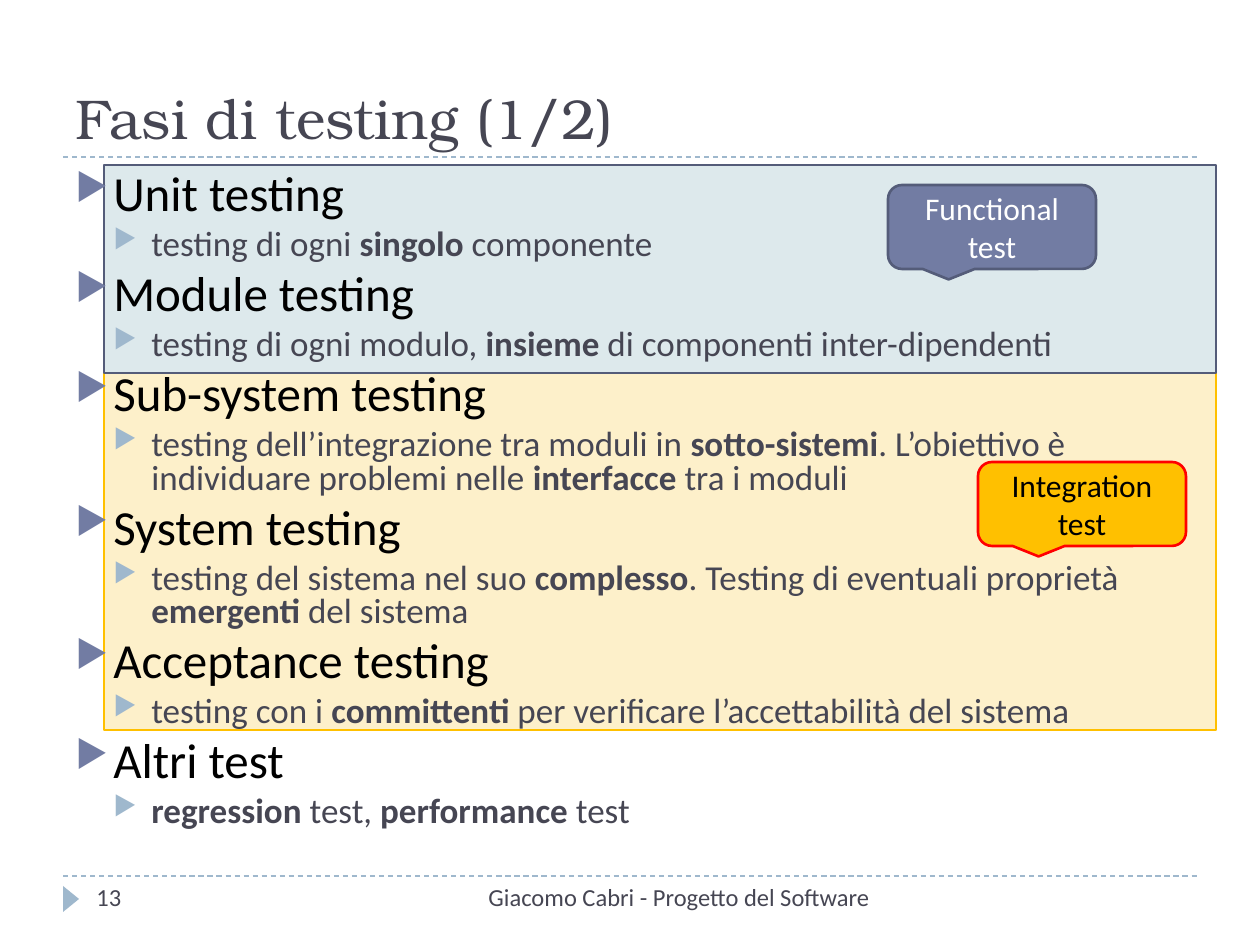
from dataclasses import dataclass

from lxml import etree
from pptx import Presentation
from pptx.dml.color import RGBColor
from pptx.enum.dml import MSO_LINE
from pptx.enum.shapes import MSO_CONNECTOR, MSO_SHAPE
from pptx.enum.text import MSO_ANCHOR, PP_ALIGN
from pptx.oxml.ns import qn
from pptx.util import Emu, Pt

STRAIGHT = MSO_CONNECTOR.STRAIGHT
DASH = MSO_LINE.DASH
RECTANGLE = MSO_SHAPE.RECTANGLE
TRIANGLE = MSO_SHAPE.ISOSCELES_TRIANGLE
CALLOUT = MSO_SHAPE.ROUNDED_RECTANGULAR_CALLOUT
TOP, MIDDLE, BOTTOM = MSO_ANCHOR.TOP, MSO_ANCHOR.MIDDLE, MSO_ANCHOR.BOTTOM
LEFT, CENTER, RIGHT = PP_ALIGN.LEFT, PP_ALIGN.CENTER, PP_ALIGN.RIGHT

PX_PER_INCH = 126
INDENT = 38

# Asterisks enclose the bold words of each description.
PHASES = [
    ("Unit testing", "testing di ogni *singolo* componente"),
    ("Module testing", "testing di ogni modulo, *insieme* di componenti inter-dipendenti"),
    ("Sub-system testing", "testing dell’integrazione tra moduli in *sotto-sistemi*. L’obiettivo è "
     "individuare problemi nelle *interfacce* tra i moduli"),
    ("System testing", "testing del sistema nel suo *complesso*. Testing di eventuali proprietà "
     "*emergenti* del sistema"),
    ("Acceptance testing", "testing con i *committenti* per verificare l’accettabilità del sistema"),
    ("Altri test", "*regression* test, *performance* test"),
]


@dataclass(frozen=True)
class Theme:
    title_font: str = "TeX Gyre Bonum"
    body_font: str = "Calibri"
    title_size: int = 32
    phase_size: int = 28
    detail_size: int = 20
    callout_size: int = 18
    footer_size: int = 14
    rule_width: float = 0.75
    outline_width: float = 1.5
    text: str = "464653"
    black: str = "000000"
    white: str = "FFFFFF"
    purple: str = "727CA3"
    dark_purple: str = "545C79"
    blue: str = "9FB8CD"
    pale_blue: str = "DDE9EC"
    amber: str = "FFC000"
    pale_amber: str = "FDF0CA"
    red: str = "FF0000"


def px(length):
    return Emu(round(length * 914400 / PX_PER_INCH))


def rgb(color):
    return RGBColor.from_string(color)


class SlideBuilder:
    def __init__(self, slide, theme):
        self.slide = slide
        self.theme = theme

    def format_runs(self, paragraph, size, color, font=None):
        for run in paragraph.runs:
            run.font.name = font or self.theme.body_font
            run.font.size = Pt(size)
            run.font.color.rgb = rgb(color)

    def rule(self, left, right, y):
        line = self.slide.shapes.add_connector(STRAIGHT, px(left), px(y), px(right), px(y))
        line.line.color.rgb = rgb(self.theme.blue)
        line.line.width = Pt(self.theme.rule_width)
        line.line.dash_style = DASH
        etree.SubElement(line._element.spPr, qn("a:effectLst"))

    def shape(self, kind, box, fill, outline=None):
        shape = self.slide.shapes.add_shape(kind, *map(px, box))
        shape.shadow.inherit = False
        shape.fill.solid()
        shape.fill.fore_color.rgb = rgb(fill)
        if outline:
            shape.line.color.rgb = rgb(outline)
            shape.line.width = Pt(self.theme.outline_width)
        else:
            shape.line.fill.background()
        return shape

    def callout(self, text, box, fill, outline, color):
        text_frame = self.shape(CALLOUT, box, fill, outline).text_frame
        text_frame.text = text
        text_frame.word_wrap = True
        text_frame.vertical_anchor = MIDDLE
        paragraph = text_frame.paragraphs[0]
        paragraph.alignment = CENTER
        self.format_runs(paragraph, self.theme.callout_size, color)

    def text_box(self, box, anchor=TOP):
        text_frame = self.slide.shapes.add_textbox(*map(px, box)).text_frame
        text_frame.word_wrap = True
        text_frame.vertical_anchor = anchor
        return text_frame

    def label(self, text, box, size, font=None, anchor=TOP, alignment=LEFT):
        text_frame = self.text_box(box, anchor)
        text_frame.text = text
        paragraph = text_frame.paragraphs[0]
        paragraph.alignment = alignment
        self.format_runs(paragraph, size, self.theme.text, font)

    def bullet(self, paragraph, level, color, space_before):
        paragraph.level = level
        paragraph.line_spacing = 0.8
        paragraph.space_before = Pt(space_before)
        properties = paragraph._p.get_or_add_pPr()
        properties.set("marL", str(px(INDENT * (level + 1))))
        properties.set("indent", str(px(-INDENT)))
        bullet_color = etree.SubElement(properties, qn("a:buClr"))
        etree.SubElement(bullet_color, qn("a:srgbClr"), val=color)
        etree.SubElement(properties, qn("a:buSzPct"), val="76000")
        etree.SubElement(properties, qn("a:buChar"), char="▶")

    def phase_list(self, phases, box):
        theme = self.theme
        text_frame = self.text_box(box)
        for index, (phase, detail) in enumerate(phases):
            heading = text_frame.add_paragraph() if index else text_frame.paragraphs[0]
            heading.text = phase
            self.format_runs(heading, theme.phase_size, theme.black)
            self.bullet(heading, 0, theme.purple, 6)

            description = text_frame.add_paragraph()
            for part, text in enumerate(detail.split("*")):
                if text:
                    run = description.add_run()
                    run.text = text
                    run.font.bold = part % 2 == 1
            self.format_runs(description, theme.detail_size, theme.text)
            self.bullet(description, 1, theme.blue, 5)


def main():
    presentation = Presentation()
    presentation.slide_width = px(1260)
    presentation.slide_height = px(945)
    theme = Theme()
    slide = presentation.slides.add_slide(presentation.slide_layouts[6])
    builder = SlideBuilder(slide, theme)

    for y in (876, 157):
        builder.rule(63, 1197, y)
    builder.shape(TRIANGLE, (58, 891, 26, 16), theme.blue).rotation = 90

    builder.shape(RECTANGLE, (104, 370, 1112, 360), theme.pale_amber, theme.amber)
    builder.shape(RECTANGLE, (104, 165, 1112, 208), theme.pale_blue, theme.dark_purple)

    builder.label("Fasi di testing (1/2)", (63, 21, 1134, 136), theme.title_size,
                  font=theme.title_font, anchor=BOTTOM)
    builder.label("Giacomo Cabri - Progetto del Software", (399, 876, 483, 50),
                  theme.footer_size, alignment=RIGHT)
    builder.label("13", (84, 876, 273, 50), theme.footer_size)
    builder.phase_list(PHASES, (63, 168, 1134, 680))

    builder.callout("Functional test", (888, 185, 208, 84),
                    theme.purple, theme.dark_purple, theme.white)
    builder.callout("Integration test", (978, 462, 208, 84),
                    theme.amber, theme.red, theme.black)

    presentation.save("out.pptx")


if __name__ == "__main__":
    main()
